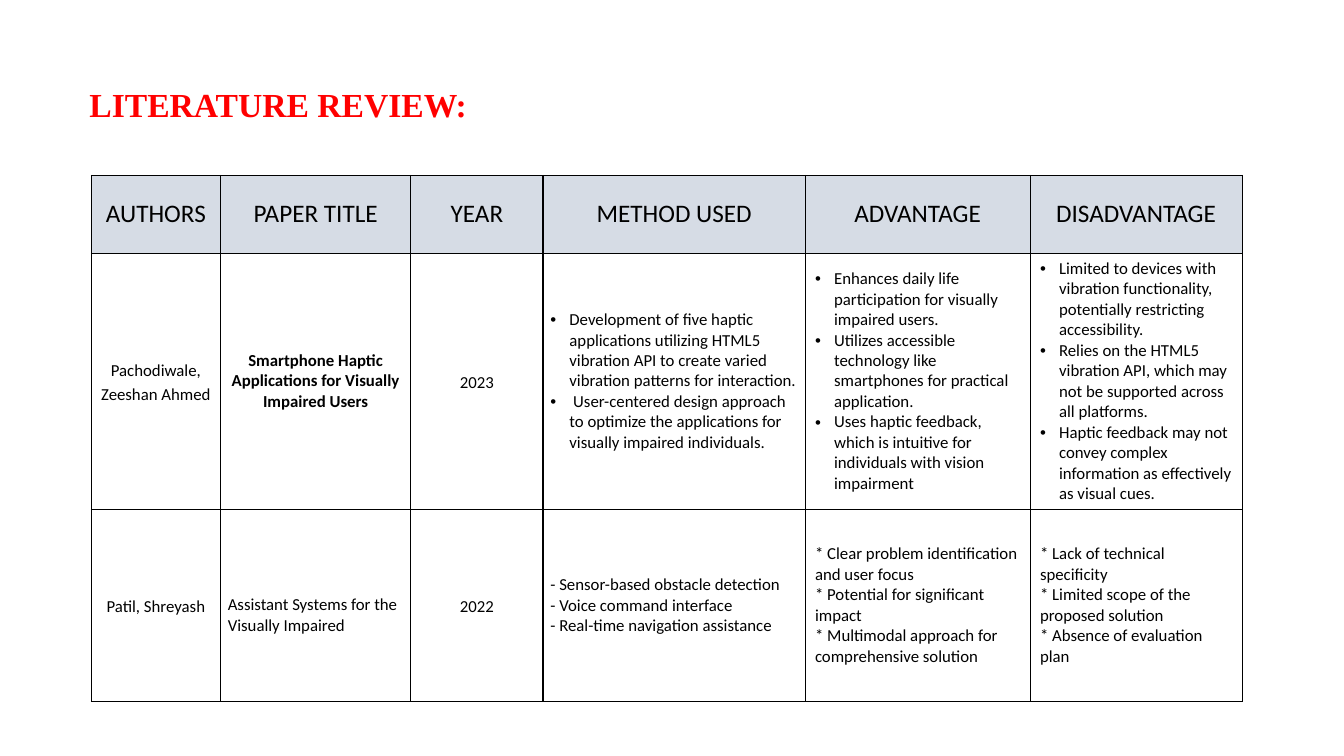
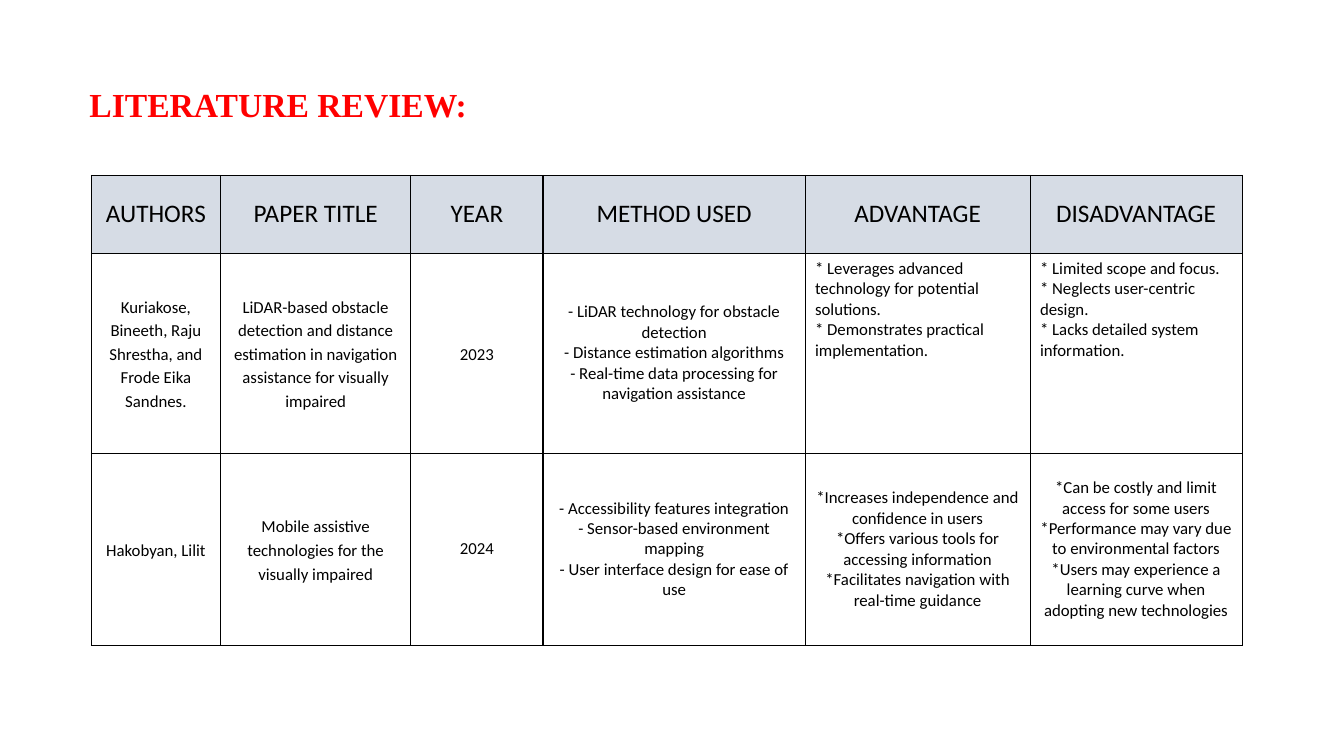
import pptx
import pptx.util
import pptx.dml.color
import pptx.enum.text
import pptx.oxml
from pptx.oxml.ns import nsdecls

Cm, Pt = pptx.util.Cm, pptx.util.Pt
ALIGN = pptx.enum.text.PP_ALIGN
ANCHOR = pptx.enum.text.MSO_ANCHOR

# Shared look
RED, BLACK, WHITE, BAND = "FF0000", "000000", "FFFFFF", "D6DCE5"
TITLE = "LITERATURE REVIEW:"
HEADS = ["AUTHORS", "PAPER TITLE", "YEAR", "METHOD USED", "ADVANTAGE", "DISADVANTAGE"]
COLS = [3.26, 4.79, 3.34, 6.6, 5.67, 5.34]
LEFT, TOP = 2.3, 4.42
WIDE_COL = 3      # the first column with roomy margins comes after this one
INDENT = 0.48

# Cell styles: alignment, line spacing, anchor
STYLES = {
    "loose": (ALIGN.CENTER, 1.15, ANCHOR.MIDDLE),
    "mid": (ALIGN.CENTER, 1.0, ANCHOR.MIDDLE),
    "bold": (ALIGN.CENTER, 1.0, ANCHOR.MIDDLE),
    "left": (ALIGN.LEFT, 1.0, ANCHOR.MIDDLE),
    "low": (ALIGN.LEFT, 1.0, ANCHOR.MIDDLE),
    "dots": (ALIGN.LEFT, 1.0, ANCHOR.MIDDLE),
    "top": (ALIGN.LEFT, 1.0, ANCHOR.TOP),
}

# Content: row heights, then rows of (style, line, line, ...)
SLIDES = [
    ([1.96, 6.35, 4.84], [
        [("loose", "Pachodiwale, Zeeshan Ahmed"),
         ("bold", "Smartphone Haptic Applications for Visually Impaired Users"),
         ("loose", "2023"),
         ("dots",
          "Development of five haptic applications utilizing HTML5 vibration API "
          "to create varied vibration patterns for interaction.",
          " User-centered design approach to optimize the applications for "
          "visually impaired individuals."),
         ("dots",
          "Enhances daily life participation for visually impaired users.",
          "Utilizes accessible technology like smartphones for practical application.",
          "Uses haptic feedback, which is intuitive for individuals with vision impairment"),
         ("dots",
          "Limited to devices with vibration functionality, potentially "
          "restricting accessibility.",
          "Relies on the HTML5 vibration API, which may not be supported "
          "across all platforms.",
          "Haptic feedback may not convey complex information as effectively "
          "as visual cues.")],
        [("loose", "Patil, Shreyash"),
         ("low", "Assistant Systems for the Visually Impaired"),
         ("loose", "2022"),
         ("left",
          "- Sensor-based obstacle detection",
          "- Voice command interface",
          "- Real-time navigation assistance"),
         ("left",
          "* Clear problem identification and user focus",
          "* Potential for significant impact",
          "* Multimodal approach for comprehensive solution"),
         ("left",
          "* Lack of technical specificity",
          "* Limited scope of the proposed solution",
          "* Absence of evaluation plan")],
    ]),
    ([1.96, 5.04, 4.84], [
        [("loose", "Kuriakose, Bineeth, Raju Shrestha, and Frode Eika Sandnes."),
         ("loose",
          "LiDAR-based obstacle detection and distance estimation in "
          "navigation assistance for visually impaired"),
         ("loose", "2023"),
         ("mid",
          "- LiDAR technology for obstacle detection",
          "- Distance estimation algorithms",
          "- Real-time data processing for navigation assistance"),
         ("top",
          "* Leverages advanced technology for potential solutions.",
          "* Demonstrates practical implementation."),
         ("top",
          "* Limited scope and focus.",
          "* Neglects user-centric design.",
          "* Lacks detailed system information.")],
        [("loose", "Hakobyan, Lilit"),
         ("loose", "Mobile assistive technologies for the visually impaired"),
         ("mid", "2024"),
         ("mid",
          "- Accessibility features integration",
          "- Sensor-based environment mapping",
          "- User interface design for ease of use"),
         ("mid",
          "*Increases independence and confidence in users",
          "*Offers various tools for accessing information",
          "*Facilitates navigation with real-time guidance"),
         ("mid",
          "*Can be costly and limit access for some users",
          "*Performance may vary due to environmental factors",
          "*Users may experience a learning curve when adopting new technologies")],
    ]),
]


def color(code):
    return pptx.dml.color.RGBColor.from_string(code)


def style_font(font, face, size, code, bold=False):
    font.name, font.size, font.bold = face, Pt(size), bold
    font.color.rgb = color(code)


def add_title(slide):
    box = slide.shapes.title
    box.left, box.top, box.width, box.height = Cm(2), Cm(1.98), Cm(12.24), Cm(1.28)
    frame = box.text_frame
    frame.text = TITLE
    frame.auto_size = pptx.enum.text.MSO_AUTO_SIZE.NONE
    frame.vertical_anchor = ANCHOR.TOP
    para = frame.paragraphs[0]
    para.alignment = ALIGN.LEFT
    style_font(para.runs[0].font, "Times New Roman", 24, RED, True)


def add_borders(cell, col):
    # The rule between YEAR and METHOD USED is heavier
    heavy = {"lnL": col == 3, "lnR": col == 2}
    props = cell._tc.get_or_add_tcPr()
    for i, side in enumerate(["lnL", "lnR", "lnT", "lnB"]):
        width = Pt(1.25 if heavy.get(side) else 0.75)
        props.insert(i, pptx.oxml.parse_xml(
            f'<a:{side} {nsdecls("a")} w="{width}"><a:solidFill>'
            f'<a:srgbClr val="{BLACK}"/></a:solidFill></a:{side}>'))


def add_bullet(para):
    props = para._p.get_or_add_pPr()
    props.set("marL", str(Cm(INDENT)))
    props.set("indent", str(-Cm(INDENT)))
    for tag in ('buFont typeface="Arial"', 'buChar char="•"'):
        name, rest = tag.split(" ", 1)
        props.append(pptx.oxml.parse_xml(f'<a:{name} {nsdecls("a")} {rest}/>'))


def fill_cell(cell, col, style, lines, head):
    align, space, anchor = STYLES[style]
    tight = not head and col <= WIDE_COL
    cell.margin_left = cell.margin_right = Cm(0.18 if tight else 0.25)
    cell.margin_top = cell.margin_bottom = Cm(0 if tight else 0.13)
    if style == "low":
        cell.margin_top = Cm(0.51)
    cell.vertical_anchor = anchor
    cell.fill.solid()
    cell.fill.fore_color.rgb = color(BAND if head else WHITE)
    add_borders(cell, col)
    cell.text_frame.text = "\n".join(lines)
    for para in cell.text_frame.paragraphs:
        para.alignment, para.line_spacing = align, space
        style_font(para.runs[0].font, "Calibri", 18 if head else 12, BLACK, style == "bold")
        if style == "dots":
            add_bullet(para)


def add_grid(slide, heights, rows):
    rows = [[("mid", head) for head in HEADS]] + rows
    table = slide.shapes.add_table(
        len(rows), len(COLS), Cm(LEFT), Cm(TOP), Cm(sum(COLS)), Cm(sum(heights))).table
    table.first_row = table.horz_banding = False
    for column, width in zip(table.columns, COLS):
        column.width = Cm(width)
    for r, (row, height) in enumerate(zip(rows, heights)):
        table.rows[r].height = Cm(height)
        for c, (style, *lines) in enumerate(row):
            fill_cell(table.cell(r, c), c, style, lines, r == 0)


def main():
    deck = pptx.Presentation()
    deck.slide_width, deck.slide_height = Cm(33.87), Cm(19.05)
    for heights, rows in SLIDES:
        slide = deck.slides.add_slide(deck.slide_layouts[5])
        add_title(slide)
        add_grid(slide, heights, rows)
    deck.save("out.pptx")


if __name__ == "__main__":
    main()
